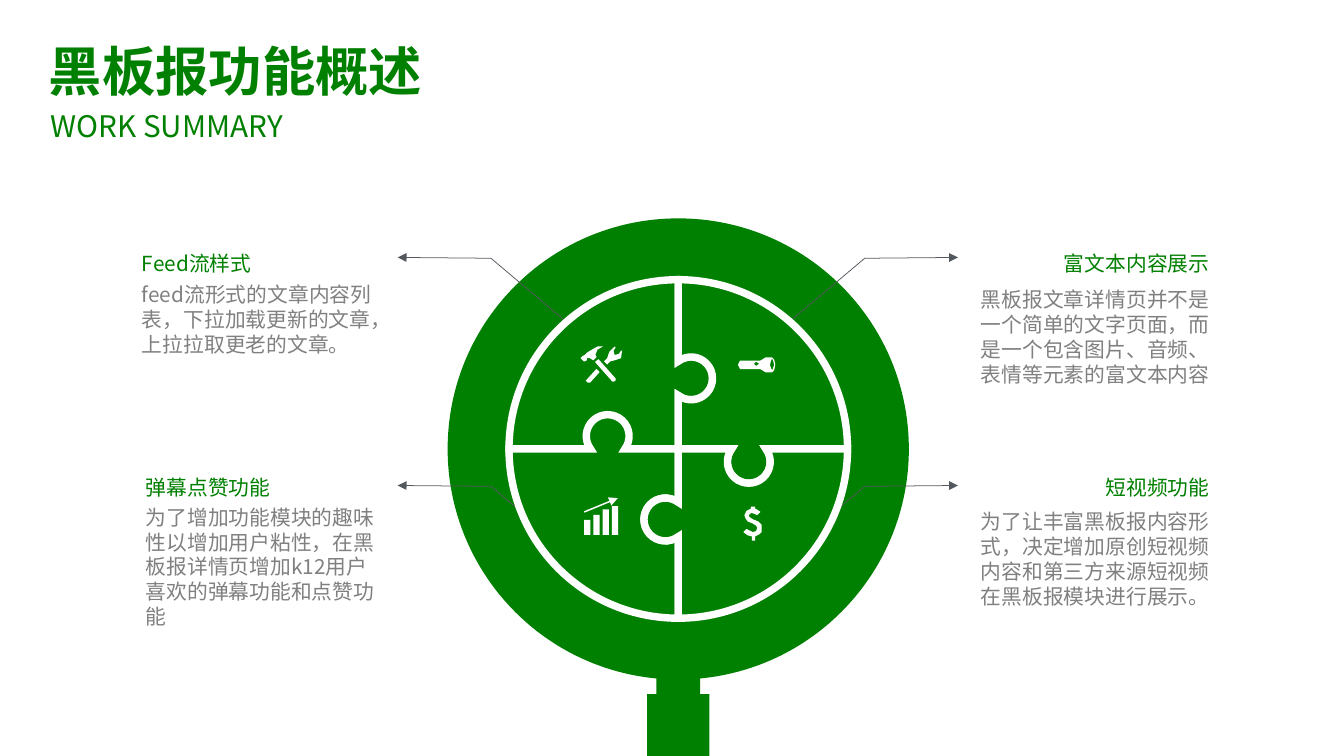
import math
from dataclasses import dataclass

from pptx import Presentation
from pptx.dml.color import RGBColor
from pptx.enum.shapes import MSO_CONNECTOR, MSO_SHAPE
from pptx.enum.text import MSO_ANCHOR, PP_ALIGN
from pptx.oxml.ns import qn
from pptx.util import Cm, Pt

STRAIGHT = MSO_CONNECTOR.STRAIGHT
RECTANGLE = MSO_SHAPE.RECTANGLE
TOP, MIDDLE = MSO_ANCHOR.TOP, MSO_ANCHOR.MIDDLE
LEFT, RIGHT = PP_ALIGN.LEFT, PP_ALIGN.RIGHT


@dataclass(frozen=True)
class Theme:
    green: RGBColor = RGBColor(0x00, 0x80, 0x00)
    grey: RGBColor = RGBColor(0x80, 0x80, 0x80)
    leader: RGBColor = RGBColor(0x53, 0x58, 0x5F)
    white: RGBColor = RGBColor(0xFF, 0xFF, 0xFF)
    font: str = "Noto Sans CJK SC"
    headline: int = 36
    subtitle: int = 20
    text: int = 14


THEME = Theme()

# All lengths are in centimetres
SLIDE_WIDTH, SLIDE_HEIGHT = 32, 18
CENTRE_X, CENTRE_Y = 16.15, 10.69
RIGHT_EDGE = 28.8
LENS_OUTER, LENS_INNER = 5.49, 4.09
PUZZLE_RADIUS = 4.03
KNOB_RADIUS, KNOB_DISTANCE = 0.51, 1.68

# Icon outlines as points on a fine square grid
ICON_GRID = 0.0254
TOOLS = [
    [(6, 31), (5, 32), (7, 34), (9, 34), (18, 24), (15, 21)],
    [(39, 4), (38, 4), (36, 7), (32, 8), (31, 4), (33, 1), (32, 0), (27, 5),
     (25, 11), (22, 14), (25, 17), (28, 14), (32, 13), (38, 11)],
    [(17, 12), (14, 14), (14, 15), (30, 33), (31, 33), (33, 32), (33, 30)],
    [(6, 11), (9, 11), (12, 13), (15, 10), (15, 9), (14, 8), (16, 3), (21, 0),
     (16, 0), (9, 4), (6, 6), (4, 8), (2, 9), (0, 11), (3, 14), (4, 14), (6, 13)],
]
TORCH = [
    [(35, 7), (34, 2), (32, 0), (26, 0), (21, 3), (2, 3), (0, 7), (2, 11),
     (21, 11), (26, 14), (32, 14), (34, 12)],
    [(30, 7), (31, 3), (32, 1), (33, 3), (34, 7), (33, 10), (32, 12), (31, 10)],
    [(15, 6), (17, 4), (20, 6), (17, 8)],
]
DOLLAR = [
    [(16, 5), (13, 8), (8, 6), (6, 7), (5, 9), (6, 10), (9, 12), (14, 14), (17, 17),
     (17, 24), (15, 26), (11, 28), (11, 32), (8, 32), (8, 28), (4, 27), (0, 24),
     (3, 21), (9, 24), (12, 23), (13, 20), (12, 18), (9, 16), (4, 14), (2, 11),
     (1, 8), (3, 4), (7, 2), (7, 0), (11, 0), (11, 2), (13, 3)],
]


def lines(points):
    """Straight segments hold one point each, curved segments hold three."""
    return [(point,) for point in points]


def arc(x, y, radius, start, end):
    """Start point and curves of an arc; degrees, clockwise from the right."""
    count = math.ceil(abs(end - start) / 90)
    step = math.radians((end - start) / count)
    pull = 4 / 3 * math.tan(step / 4)

    def spot(angle, lean):
        return (x + radius * (math.cos(angle) - lean * math.sin(angle)),
                y + radius * (math.sin(angle) + lean * math.cos(angle)))

    angles = [math.radians(start) + step * i for i in range(count + 1)]
    return [(spot(angles[0], 0),)] + [
        (spot(a, pull), spot(b, -pull), spot(b, 0)) for a, b in zip(angles, angles[1:])]


def add_outline(slide, contours, fill=None, line=None, width=0, closed=True):
    builder = None
    for contour in contours:
        points = [(Cm(x), Cm(y)) for segment in contour for x, y in segment]
        if builder is None:
            builder = slide.shapes.build_freeform(*points[0])
        else:
            builder.move_to(*points[0])
        builder.add_line_segments(points[1:], close=closed)
    outline = builder.convert_to_shape()
    bend_curves(outline, [segment for contour in contours for segment in contour[1:]])
    outline.shadow.inherit = False
    paint(outline.fill, fill)
    paint(outline.line.fill, line)
    if line is not None:
        outline.line.width = Pt(width)
        append_to_line(outline, "a:miter", lim="800000")
    return outline


def bend_curves(outline, segments):
    track = outline._element.find(".//" + qn("a:path"))
    steps = iter(track.findall(qn("a:lnTo")))
    for segment in segments:
        group = [next(steps) for _ in segment]
        if len(group) == 3:
            curve = track.makeelement(qn("a:cubicBezTo"), {})
            group[0].addprevious(curve)
            for step in group:
                curve.append(step[0])
                track.remove(step)


def paint(fill, colour):
    if colour is None:
        fill.background()
    else:
        fill.solid()
        fill.fore_color.rgb = colour


def append_to_line(shape, tag, **attributes):
    line = shape.line._get_or_add_ln()
    line.append(line.makeelement(qn(tag), attributes))


def add_text(slide, text, box, size, colour, align=LEFT, anchor=TOP,
             margins=(0, 0), bold=False, spacing=None):
    frame = slide.shapes.add_textbox(*(Cm(length) for length in box)).text_frame
    frame.word_wrap = True
    frame.vertical_anchor = anchor
    frame.margin_left = frame.margin_right = Cm(margins[0])
    frame.margin_top = frame.margin_bottom = Cm(margins[1])
    paragraph = frame.paragraphs[0]
    paragraph.alignment = align
    if spacing:
        paragraph.line_spacing = spacing
    run = paragraph.add_run()
    run.text = text
    run.font.name, run.font.size, run.font.bold = THEME.font, Pt(size), bold
    run.font.color.rgb = colour
    properties = run.font._element
    properties.append(properties.makeelement(qn("a:ea"), {"typeface": THEME.font}))


def add_magnifier(slide):
    neck, handle, neck_end = 0.52, 0.74, 16.53
    gap = math.degrees(math.asin(neck / LENS_OUTER))
    rim = arc(CENTRE_X, CENTRE_Y, LENS_OUTER, 90 + gap, 450 - gap)
    grip = [(neck, neck_end), (handle, neck_end), (handle, SLIDE_HEIGHT),
            (-handle, SLIDE_HEIGHT), (-handle, neck_end), (-neck, neck_end)]
    glass = arc(CENTRE_X, CENTRE_Y, LENS_INNER, 360, 0)
    add_outline(slide, [rim + lines((CENTRE_X + x, y) for x, y in grip), glass], THEME.green)


def add_leader(slide, side, y):
    """Bent arrow from the lens outwards; side is -1 for left, 1 for right."""
    bends = [(2.22, y + 1.9), (4.45, y + 0.02), (6.67, y)]
    leader = add_outline(slide, [lines((CENTRE_X - 0.01 + side * dx, dy) for dx, dy in bends)],
                         line=THEME.leader, width=0.5, closed=False)
    append_to_line(leader, "a:headEnd", type="oval")
    append_to_line(leader, "a:tailEnd", type="triangle")


def add_puzzle_piece(slide, turns):
    """Top left quarter, turned clockwise; the turned ones also have a notch."""
    depth, tilt = 0.6 * KNOB_RADIUS, math.degrees(math.acos(0.6))
    piece = arc(depth, -KNOB_DISTANCE, KNOB_RADIUS, 180 + tilt, 540 - tilt) + lines([(0, 0)])
    if turns:
        piece += arc(-KNOB_DISTANCE, -depth, KNOB_RADIUS, 90 - tilt, tilt - 270)
    piece += arc(0, 0, PUZZLE_RADIUS, 180, 270)
    for _ in range(turns):
        piece = [[(-y, x) for x, y in segment] for segment in piece]
    placed = [[(CENTRE_X + x, CENTRE_Y + y) for x, y in segment] for segment in piece]
    add_outline(slide, [placed], THEME.green, THEME.white, 5)


def add_icon(slide, contours, left, top):
    add_outline(slide, [lines((left + x * ICON_GRID, top + y * ICON_GRID) for x, y in contour)
                        for contour in contours], THEME.white)


def add_growth_icon(slide, left, bottom):
    for index, height in enumerate((0.36, 0.48, 0.61, 0.69)):
        bar = slide.shapes.add_shape(RECTANGLE, Cm(left + 0.22 * index),
                                     Cm(bottom - height), Cm(0.15), Cm(height))
        bar.shadow.inherit = False
        paint(bar.fill, THEME.white)
        paint(bar.line.fill, None)
    trend = slide.shapes.add_connector(STRAIGHT, Cm(left), Cm(bottom - 0.55),
                                       Cm(left + 0.8), Cm(bottom - 0.88))
    trend.line.color.rgb = THEME.white
    trend.line.width = Pt(1)
    append_to_line(trend, "a:tailEnd", type="triangle")
    properties = trend._element.spPr
    properties.append(properties.makeelement(qn("a:effectLst"), {}))


def add_callout(slide, title, body, edge, body_top, width, height, title_top, align=LEFT):
    title_width = 6.4
    shift = 1 if align == RIGHT else 0
    add_text(slide, title, (edge - shift * title_width, title_top, title_width, 0.81),
             THEME.text, THEME.green, align, MIDDLE, (0, 0.13), spacing=0.9)
    add_text(slide, body, (edge - shift * width, body_top, width, height),
             THEME.text, THEME.grey, align)


def main():
    presentation = Presentation()
    presentation.slide_width, presentation.slide_height = Cm(SLIDE_WIDTH), Cm(SLIDE_HEIGHT)
    slide = presentation.slides.add_slide(presentation.slide_layouts[6])
    upper, lower = 5.89, 11.23

    # Magnifier and leaders
    add_magnifier(slide)
    for y in (6.13, 11.56):
        for side in (-1, 1):
            add_leader(slide, side, y)

    # Puzzle with its icons, later pieces lying over earlier ones
    for turns in (0, 3, 1, 2):
        add_puzzle_piece(slide, turns)
    add_icon(slide, TOOLS, 13.82, 8.25)
    add_icon(slide, TORCH, 17.57, 8.51)
    add_icon(slide, DOLLAR, 17.7, 12.06)
    add_growth_icon(slide, 13.91, 12.74)

    # Callouts
    add_callout(slide, "Feed流样式", "feed流形式的文章内容列表，下拉加载更新的文章，上拉拉取更老的文章。",
                3.38, 6.72, 5.87, 1.8, upper)
    add_callout(slide, "弹幕点赞功能",
                "为了增加功能模块的趣味性以增加用户粘性，在黑板报详情页增加k12用户喜欢的弹幕功能和点赞功能",
                3.47, 12.01, 5.77, 3, lower)
    add_callout(slide, "富文本内容展示",
                "黑板报文章详情页并不是一个简单的文字页面，而是一个包含图片、音频、表情等元素的富文本内容",
                RIGHT_EDGE, 6.83, 5.87, 2.39, upper, RIGHT)
    add_callout(slide, "短视频功能",
                "为了让丰富黑板报内容形式，决定增加原创短视频内容和第三方来源短视频在黑板报模块进行展示。",
                RIGHT_EDGE, 12.12, 5.77, 2.39, lower, RIGHT)

    # Headline
    add_text(slide, "黑板报功能概述", (0.88, 0.76, 10.13, 1.83), THEME.headline, THEME.green,
             margins=(0.28, 0.15), bold=True)
    add_text(slide, "WORK SUMMARY", (1.21, 2.57, 10, 0.86), THEME.subtitle, THEME.green)

    presentation.save("out.pptx")


if __name__ == "__main__":
    main()
